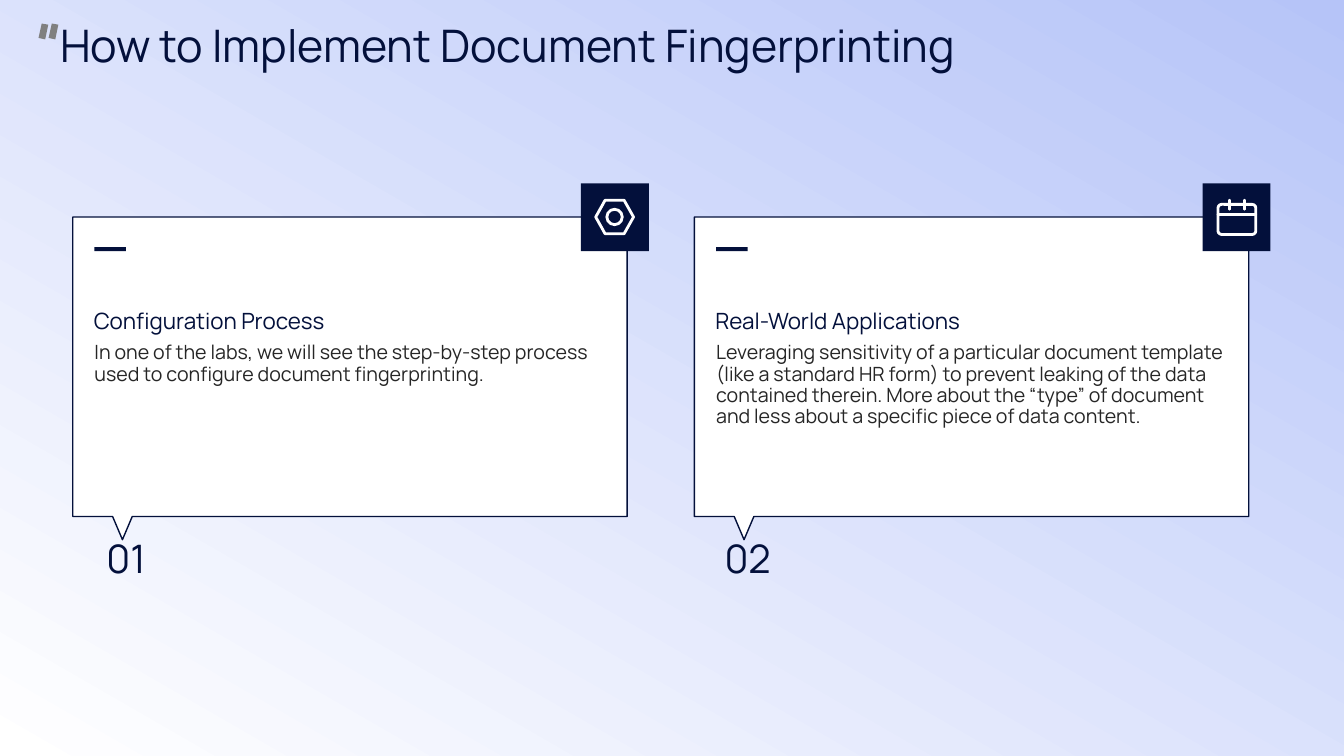
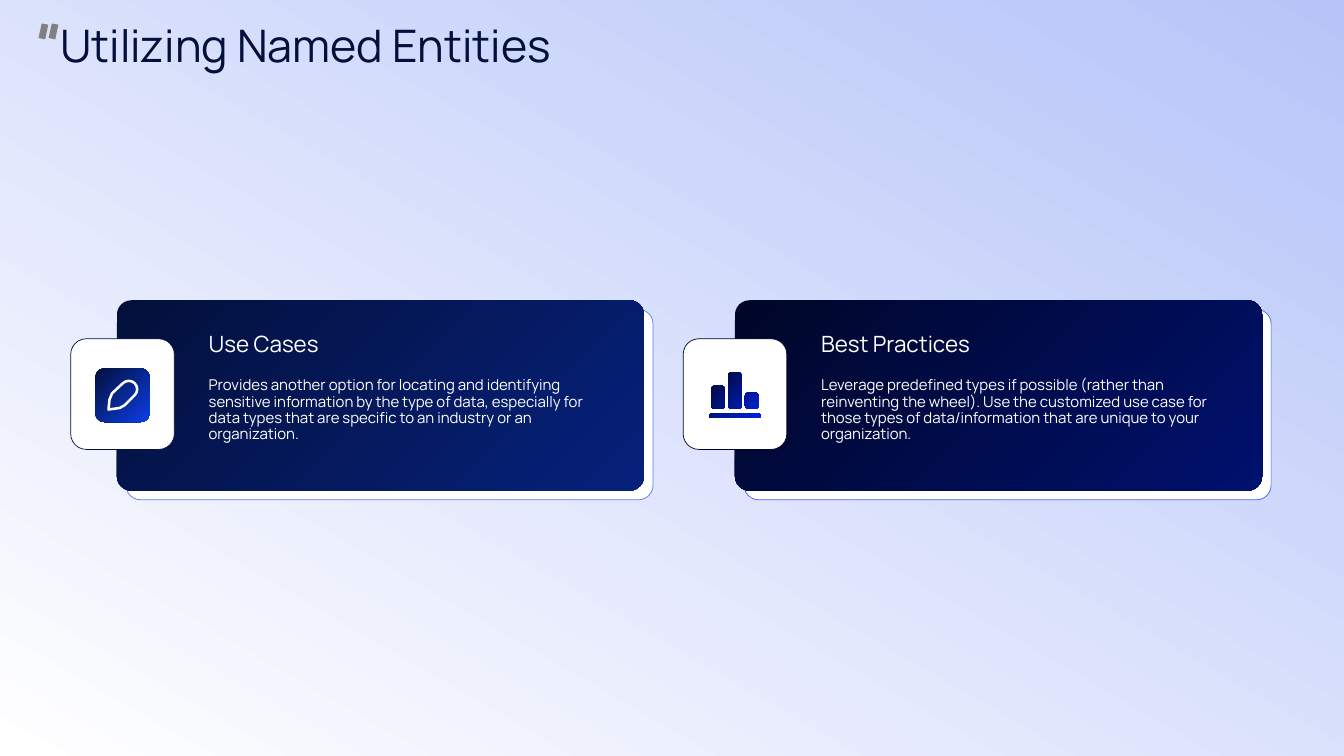
import math

import pptx
import pptx.dml.color
import pptx.enum.dml
import pptx.enum.shapes
import pptx.enum.text
import pptx.oxml
import pptx.util

Pt = pptx.util.Pt
SHAPE = pptx.enum.shapes.MSO_SHAPE
ANCHOR = pptx.enum.text.MSO_ANCHOR
ALIGN = pptx.enum.text.PP_ALIGN

FONT = "Manrope"
NAVY, MIDNIGHT, WHITE, CHARCOAL, GREY = "03103B", "000627", "FFFFFF", "262626", "808080"
BACKDROP = ("B6C4F8", WHITE)
LINE_SPACING = 0.9


def paint(color_format, color):
    color_format.rgb = pptx.dml.color.RGBColor.from_string(color)


def fill_gradient(fill, colors, angle):
    fill.gradient()
    fill.gradient_angle = angle
    for stop, color in zip(fill.gradient_stops, colors):
        paint(stop.color, color)


def style_shape(shape, fill=None, line=None, width=1):
    shape.shadow.inherit = False
    if fill is None:
        shape.fill.background()
    elif isinstance(fill, tuple):
        fill_gradient(shape.fill, fill, 315)
    else:
        shape.fill.solid()
        paint(shape.fill.fore_color, fill)
    if line is None:
        shape.line.fill.background()
    else:
        paint(shape.line.color, line)
        shape.line.width = Pt(width)
    return shape


def add_preset(page, kind, box, fill=None, line=None, width=1, adjustment=None):
    shape = page.shapes.add_shape(kind, *(Pt(length) for length in box))
    if adjustment is not None:
        shape.adjustments[0] = adjustment
    return style_shape(shape, fill, line, width)


def add_outline(page, left, top, contours, fill=None, line=None, width=1):
    placed = [[(Pt(left + x), Pt(top + y)) for x, y in contour] for contour in contours]
    builder = page.shapes.build_freeform(*placed[0][0], scale=1.0)
    for index, contour in enumerate(placed):
        if index:
            builder.move_to(*contour[0])
        builder.add_line_segments(contour[1:], close=True)
    return style_shape(builder.convert_to_shape(), fill, line, width)


def add_stroke(page, start, end):
    stroke = page.shapes.add_connector(
        pptx.enum.shapes.MSO_CONNECTOR.STRAIGHT,
        *(Pt(length) for length in start + end))
    paint(stroke.line.color, WHITE)
    stroke.line.width = Pt(2)
    stroke.line._get_or_add_ln().set("cap", "rnd")
    stroke._element.spPr.append(pptx.oxml.parse_xml(
        '<a:effectLst xmlns:a="http://schemas.openxmlformats.org/drawingml/2006/main"/>'))


def write_text(box, text, size, color, anchor=ANCHOR.TOP, align=ALIGN.LEFT, insets=(0, 0)):
    frame = box.text_frame
    frame.word_wrap = True
    frame.auto_size = pptx.enum.text.MSO_AUTO_SIZE.NONE
    frame.vertical_anchor = anchor
    frame.margin_left = frame.margin_right = Pt(insets[0])
    frame.margin_top = frame.margin_bottom = Pt(insets[1])
    para = frame.paragraphs[0]
    para.text = text
    para.alignment = align
    para.line_spacing = LINE_SPACING
    para.font.name = FONT
    para.font.size = Pt(size)
    paint(para.font.color, color)


def add_text(page, box, *content, **layout):
    textbox = page.shapes.add_textbox(*(Pt(length) for length in box))
    write_text(textbox, *content, **layout)


def arc(center, radius, start, end, steps=8):
    angles = [math.radians(start + (end - start) * step / steps) for step in range(steps + 1)]
    return [(center[0] + radius * math.cos(angle), center[1] + radius * math.sin(angle))
            for angle in angles]


def rounded_contour(left, top, width, height, radius):
    right, bottom = left + width - radius, top + height - radius
    corners = [(left + radius, top + radius), (right, top + radius),
               (right, bottom), (left + radius, bottom)]
    return [point for index, corner in enumerate(corners)
            for point in arc(corner, radius, 180 + 90 * index, 270 + 90 * index)]


def draw_nut(page, left, top):
    add_preset(page, SHAPE.HEXAGON, (left + 10.5, top + 12, 27, 24), None, WHITE, 2, 0.28)
    add_preset(page, SHAPE.OVAL, (left + 18.5, top + 18.5, 11, 11), None, WHITE, 2)


def draw_calendar(page, left, top):
    add_preset(page, SHAPE.ROUNDED_RECTANGLE, (left + 11, top + 15, 27, 21.5),
               None, WHITE, 2, 0.12)
    add_stroke(page, (left + 11, top + 22), (left + 38, top + 22))
    for pin in (19, 30):
        add_stroke(page, (left + pin, top + 12), (left + pin, top + 18.5))


def draw_pen(page, left, top):
    add_preset(page, SHAPE.ROUNDED_RECTANGLE, (left + 17.5, top + 21, 39, 38.5),
               (NAVY, "0C3EE6"), adjustment=0.17)
    contour = arc((24, 15), 6, -135, 45) + [
        (21, 26.5), (17.5, 28.4), (9.5, 29.5), (10.2, 22.5), (12, 18)]
    add_outline(page, left + 17.5, top + 21, [contour], None, WHITE, 1.8)


def draw_bars(page, left, top):
    bars = [rounded_contour(1.5 + 12 * index, 26 - height, 9.5, height, 2.2)
            for index, height in enumerate((16.5, 26, 11.5))]
    base = rounded_contour(0, 29.5, 36.5, 3, 1.4)
    add_outline(page, left + 18.7, top + 24, bars + [base], (MIDNIGHT, "0023E3"))


def add_callout(page, left, top, number, heading, body, draw_icon):
    width, height = 396, 214
    add_outline(page, left, top, [[
        (0, 0), (width, 0), (width, height), (42.5, height),
        (35.5, 230.5), (28.5, height), (0, height)]], WHITE, NAVY)
    badge_left, badge_top = left + width - 33, top - 24
    add_preset(page, SHAPE.RECTANGLE, (badge_left, badge_top, 48.5, 48.5), NAVY)
    draw_icon(page, badge_left, badge_top)
    add_preset(page, SHAPE.RECTANGLE, (left + 15.5, top + 21.5, 22.5, 3), NAVY)
    add_text(page, (left + 15, top + 28, 365, 56), heading, 16, NAVY, anchor=ANCHOR.BOTTOM)
    add_text(page, (left + 15.5, top + 90, 364.5, 114), body, 14, CHARCOAL)
    add_text(page, (left + 15, top + 230.5, 46, 37.5), number, 28, NAVY, align=ALIGN.CENTER)


def add_panel(page, left, top, tab_overhang, heading, body, colors, edge, draw_icon):
    width, height, offset = 376.5, 136, 6.5
    add_preset(page, SHAPE.ROUNDED_RECTANGLE, (left + offset, top + offset, width, height),
               WHITE, edge, 0.5, 0.076)
    add_preset(page, SHAPE.ROUNDED_RECTANGLE, (left, top, width, height),
               colors, adjustment=0.076)
    tab_left, tab_top = left - tab_overhang, top + 27.5
    add_preset(page, SHAPE.ROUNDED_RECTANGLE, (tab_left, tab_top, 74, 79),
               WHITE, colors[0], 0.5, 0.15)
    draw_icon(page, tab_left, tab_top)
    text_left = tab_left + 91.5
    text_width = left + width - 12 - text_left
    add_text(page, (text_left, top + 14.5, text_width, 35), heading, 16, WHITE,
             anchor=ANCHOR.MIDDLE, insets=(7.2, 3.6))
    add_text(page, (text_left, top + 52, text_width, 79), body, 10.7, WHITE, insets=(7.2, 3.6))


def prepare_layout(deck):
    fill_gradient(deck.slide_master.background.fill, BACKDROP, 240)
    layout = deck.slide_layouts.get_by_name("Title Only")
    title = layout.placeholders[0]
    title.left, title.top, title.width, title.height = Pt(43), Pt(17.5), Pt(790), Pt(34)
    return layout


def add_page(deck, layout, title):
    page = deck.slides.add_slide(layout)
    write_text(page.shapes.title, title, 32, NAVY, anchor=ANCHOR.MIDDLE)
    tick = [(9.5, 0), (14.2, 0.8), (12, 11.3), (7.2, 10.3)]
    ticks = [[(x - shift, y) for x, y in tick] for shift in (0, 7.2)]
    add_outline(page, 27.5, 16.8, ticks, GREY)
    return page


def add_fingerprinting_page(deck, layout):
    page = add_page(deck, layout, "How to Implement Document Fingerprinting")
    callouts = [
        ("Configuration Process",
         "In one of the labs, we will see the step-by-step process used to configure "
         "document fingerprinting.", draw_nut),
        ("Real-World Applications",
         "Leveraging sensitivity of a particular document template (like a standard HR form) "
         "to prevent leaking of the data contained therein. More about the “type” of document "
         "and less about a specific piece of data content.", draw_calendar),
    ]
    for index, callout in enumerate(callouts):
        add_callout(page, 52 + 444 * index, 155, f"{index + 1:02}", *callout)


def add_entities_page(deck, layout):
    page = add_page(deck, layout, "Utilizing Named Entities")
    panels = [
        (33, "Use Cases",
         "Provides another option for locating and identifying sensitive information by the "
         "type of data, especially for data types that are specific to an industry or an "
         "organization.", (NAVY, "06217B"), "547AF6", draw_pen),
        (37, "Best Practices",
         "Leverage predefined types if possible (rather than reinventing the wheel). Use the "
         "customized use case for those types of data/information that are unique to your "
         "organization.", (MIDNIGHT, "00116E"), "4360FF", draw_bars),
    ]
    for index, panel in enumerate(panels):
        add_panel(page, 83.5 + 441.5 * index, 214.5, *panel)


def main():
    deck = pptx.Presentation()
    deck.slide_width, deck.slide_height = Pt(960), Pt(540)
    layout = prepare_layout(deck)
    add_fingerprinting_page(deck, layout)
    add_entities_page(deck, layout)
    deck.save("out.pptx")


if __name__ == "__main__":
    main()
